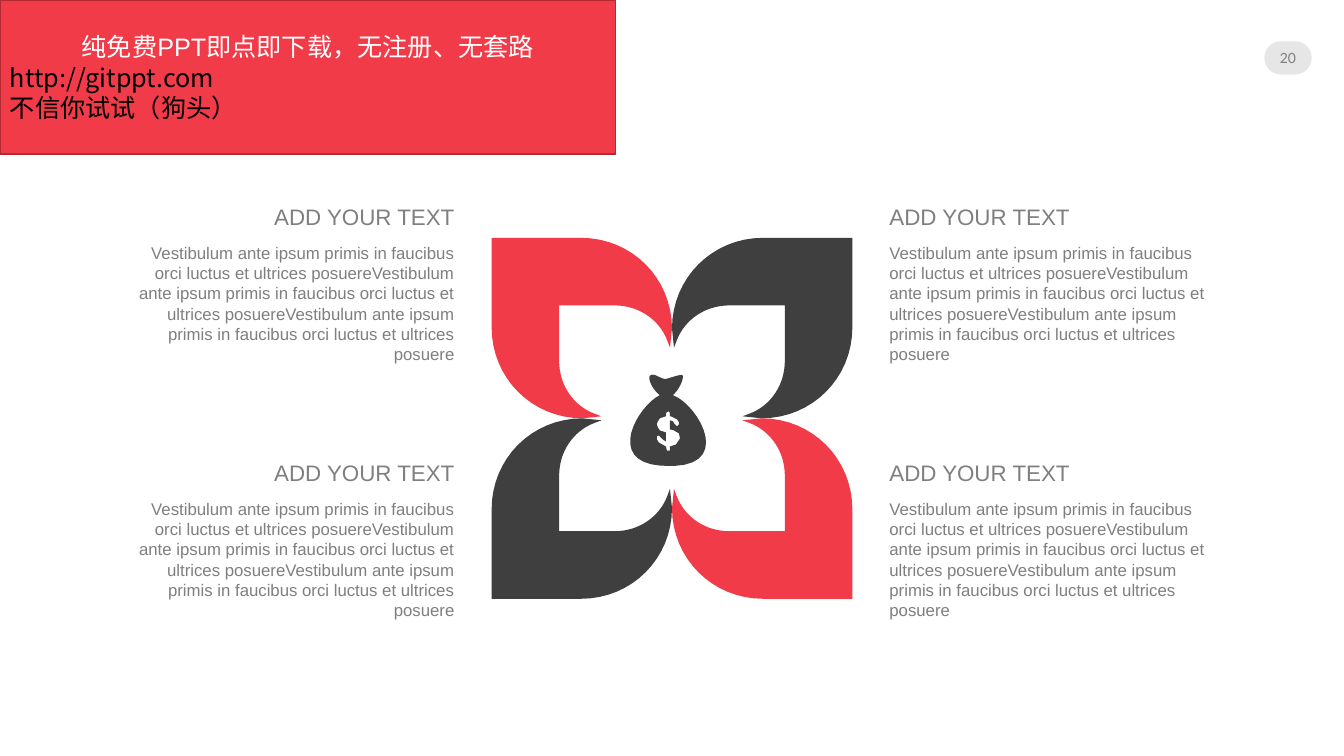
from dataclasses import dataclass

from pptx import Presentation, util as u
from pptx.dml.color import RGBColor
from pptx.enum import shapes, text
from pptx.oxml.ns import qn

COLUMNS, ROWS = 1334, 750
WIDTH, HEIGHT = u.Inches(13.34), u.Inches(7.5)
RED, DARK, GREY = "F23B48", "3F3F3F", "7F7F7F"
SANS, CJK = "Arial", "Noto Sans CJK SC"
LEFT, CENTER, RIGHT = text.PP_ALIGN.LEFT, text.PP_ALIGN.CENTER, text.PP_ALIGN.RIGHT
HUB = (667, 415)
HEADING = "ADD YOUR TEXT"
PHRASE = "Vestibulum ante ipsum primis in faucibus orci luctus et ultrices posuere"

Point = tuple[float, float]

HALF_PETAL = [[(179, 179)], [(90, 179), (40, 179), (0, 139), (0, 89)], [(2, 70)],
              [(5, 78), (13, 98), (33, 112), (57, 112)], [(112, 112)]]
BAG = [[(668, 392), (675, 386), (680, 373), (677, 372)],
       [(677, 372), (673, 372), (665, 375), (661, 376)],
       [(661, 376), (655, 376), (649, 369), (645, 373)],
       [(645, 373), (643, 376), (648, 387), (655, 392)],
       [(655, 392), (633, 403), (601, 458), (656, 462)],
       [(656, 462), (732, 468), (694, 402), (668, 392)]]
DOLLAR = [(675, 435), (671, 441), (665, 443), (665, 447), (662, 447), (661, 443), (654, 439),
          (652, 436), (652, 433), (654, 432), (656, 434), (658, 436), (661, 438), (661, 429),
          (655, 427), (653, 424), (652, 421), (653, 418), (655, 415), (661, 413), (661, 410),
          (662, 409), (664, 408), (665, 410), (665, 413), (666, 413), (672, 416), (674, 419),
          (674, 421), (672, 423), (670, 421), (669, 420), (668, 418), (665, 417), (665, 426),
          (669, 427), (674, 430)]


@dataclass
class Petal:
    across: int
    down: int
    color: str


@dataclass
class Caption:
    left: int
    top: int
    align: text.PP_ALIGN


@dataclass
class Line:
    words: str
    size: float
    color: str
    font: str = SANS
    align: text.PP_ALIGN = LEFT


PETALS = [Petal(-1, -1, RED), Petal(1, -1, DARK), Petal(-1, 1, DARK), Petal(1, 1, RED)]
CAPTIONS = [Caption(left, top, align) for left, align in ((873, LEFT), (115, RIGHT))
            for top in (197, 451)]
BANNER = [Line("纯免费PPT即点即下载，无注册、无套路", 18, "FFFFFF", align=CENTER),
          Line("http://gitppt.com", 18, "000000", CJK),
          Line("不信你试试（狗头）", 18, "000000", CJK)]


def rgb(color: str) -> RGBColor:
    return RGBColor.from_string(color)


def x(column: float) -> int:
    return round(WIDTH * column / COLUMNS)


def y(row: float) -> int:
    return round(HEIGHT * row / ROWS)


def flatten(segments: list[list[Point]], steps: int = 16) -> list[Point]:
    points = []
    for segment in segments:
        if len(segment) == 1:
            points += segment
            continue
        for step in range(steps + 1):
            t = step / steps
            weights = ((1 - t) ** 3, 3 * t * (1 - t) ** 2, 3 * t * t * (1 - t), t ** 3)
            points.append(tuple(sum(w * p[axis] for w, p in zip(weights, segment))
                                for axis in (0, 1)))
    return points


def paint(shape, fill: str) -> None:
    shape.shadow.inherit = False
    shape.fill.solid()
    shape.fill.fore_color.rgb = rgb(fill)
    shape.line.fill.background()


def draw_outline(slide, contours: list[list[Point]], fill: str) -> None:
    first, *others = [[(x(c), y(r)) for c, r in contour] for contour in contours]
    builder = slide.shapes.build_freeform(*first[0])
    builder.add_line_segments(first[1:])
    for contour in others:
        builder.move_to(*contour[0])
        builder.add_line_segments(contour[1:])
    paint(builder.convert_to_shape(), fill)


def write(frame, lines: list[Line], anchor=text.MSO_ANCHOR.TOP) -> None:
    frame.word_wrap = True
    frame.vertical_anchor = anchor
    for index, line in enumerate(lines):
        paragraph = frame.add_paragraph() if index else frame.paragraphs[0]
        paragraph.alignment = line.align
        run = paragraph.add_run()
        run.text = line.words
        run.font.size = u.Pt(line.size)
        run.font.name = line.font
        run.font.color.rgb = rgb(line.color)
        if line.font == CJK:
            east_asian = run.font._element.makeelement(qn("a:ea"), {"typeface": CJK})
            run.font._element.append(east_asian)


def draw_petal(slide, petal: Petal) -> None:
    half = flatten(HALF_PETAL)
    offsets = half + [(b, a) for a, b in reversed(half)]
    draw_outline(slide, [[(HUB[0] + petal.across * a, HUB[1] + petal.down * b)
                          for a, b in offsets]], petal.color)


def draw_caption(slide, caption: Caption) -> None:
    for words, size, drop, rows in ((HEADING, 16, 0, 37), (PHRASE * 3, 12, 39, 170)):
        box = slide.shapes.add_textbox(x(caption.left), y(caption.top + drop), x(346), y(rows))
        write(box.text_frame, [Line(words, size, GREY, align=caption.align)])


def draw_page_number(slide) -> None:
    pill = slide.shapes.add_shape(shapes.MSO_SHAPE.ROUNDED_RECTANGLE,
                                  x(1255), y(41), x(47), y(33))
    pill.adjustments[0] = 0.5
    paint(pill, "E7E6E6")
    frame = pill.text_frame
    frame.margin_left = frame.margin_right = frame.margin_top = frame.margin_bottom = 0
    write(frame, [Line("20", 10, GREY, "Lato", CENTER)], text.MSO_ANCHOR.MIDDLE)


def draw_banner(slide) -> None:
    banner = slide.shapes.add_shape(shapes.MSO_SHAPE.RECTANGLE, 0, 0, x(611), y(153))
    paint(banner, RED)
    banner.line.color.rgb = rgb("B22932")
    banner.line.width = u.Pt(1)
    write(banner.text_frame, BANNER, text.MSO_ANCHOR.MIDDLE)


def main() -> None:
    """Build the four-petal money slide."""
    deck = Presentation()
    deck.slide_width, deck.slide_height = WIDTH, HEIGHT
    slide = deck.slides.add_slide(deck.slide_layouts[6])
    draw_page_number(slide)
    for petal in PETALS:
        draw_petal(slide, petal)
    draw_outline(slide, [flatten(BAG), DOLLAR], DARK)
    for caption in CAPTIONS:
        draw_caption(slide, caption)
    draw_banner(slide)
    deck.save("out.pptx")


if __name__ == "__main__":
    main()
